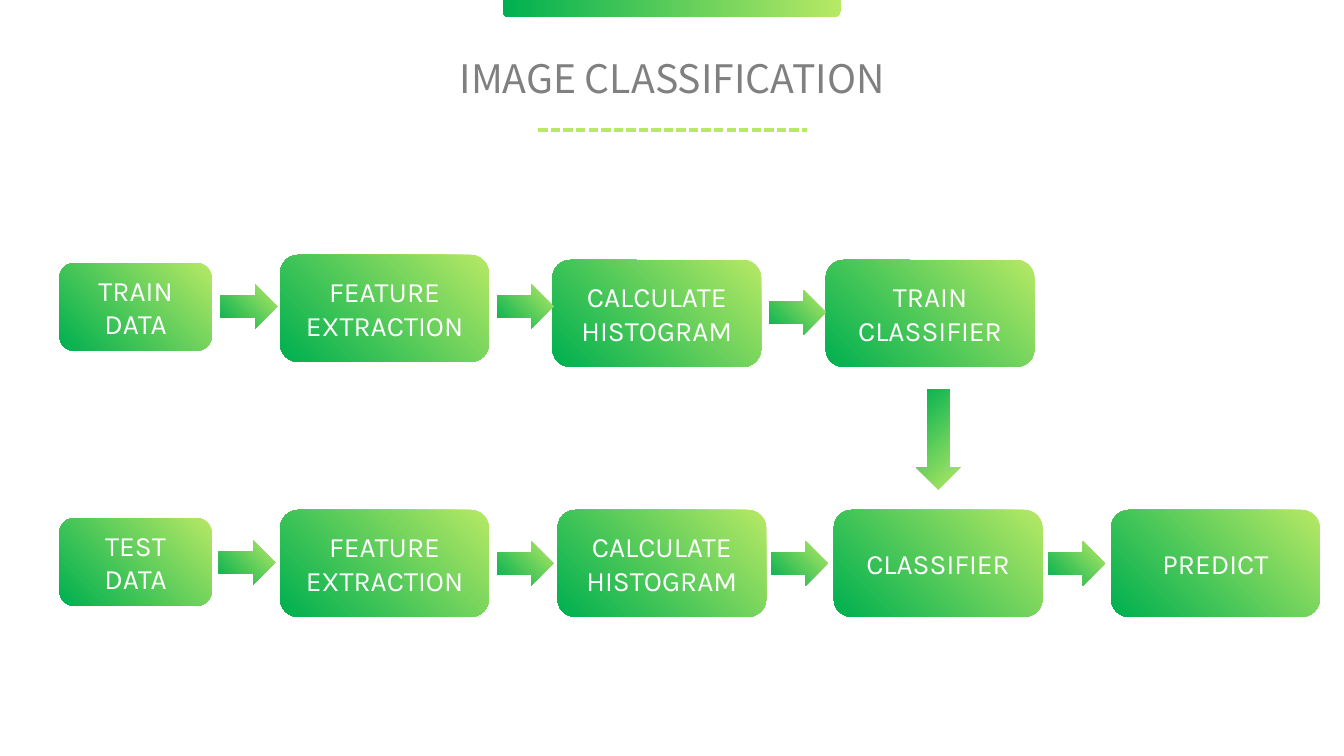
from lxml.etree import SubElement
from pptx import Presentation
from pptx.dml.color import RGBColor
from pptx.enum.dml import MSO_LINE
from pptx.enum.shapes import MSO_CONNECTOR, MSO_SHAPE
from pptx.enum.text import MSO_ANCHOR, MSO_AUTO_SIZE, PP_ALIGN
from pptx.oxml.ns import qn
from pptx.util import Inches, Pt

LIME = "B7E965"
GREEN = "00B050"
STEP_SIZE = (2.07, 1.06)
DATA_SIZE = (1.51, 0.87)
ARROW_SIZE = (0.56, 0.44)

STEPS = [
    ("TRAIN DATA", 0.59, 2.61, DATA_SIZE),
    ("FEATURE EXTRACTION", 2.78, 2.53, STEP_SIZE),
    ("CALCULATE HISTOGRAM", 5.48, 2.58, STEP_SIZE),
    ("TRAIN CLASSIFIER", 8.19, 2.58, STEP_SIZE),
    ("TEST DATA", 0.59, 5.14, DATA_SIZE),
    ("FEATURE EXTRACTION", 2.78, 5.06, STEP_SIZE),
    ("CALCULATE HISTOGRAM", 5.53, 5.06, STEP_SIZE),
    ("CLASSIFIER", 8.27, 5.06, STEP_SIZE),
    ("PREDICT", 11.02, 5.06, STEP_SIZE),
]
ARROWS = [
    (2.19, 2.82), (4.93, 2.82), (7.63, 2.88),
    (2.17, 5.36), (4.93, 5.37), (7.65, 5.37), (10.4, 5.37),
]


def color(value):
    return RGBColor.from_string(value)


def apply_format(target, values):
    for name, value in values.items():
        setattr(target, name, value)


class FlowSlide:
    step_font = {"name": "Karla", "size": Pt(20)}
    title_font = {"name": "Noto Sans CJK JP", "size": Pt(28)}

    def __init__(self, presentation):
        self.slide = presentation.slides.add_slide(presentation.slide_layouts[6])

    def label(self, shape, text, font_format, font_color, frame_format):
        apply_format(shape.text_frame, frame_format)
        paragraph = shape.text_frame.paragraphs[0]
        paragraph.alignment = PP_ALIGN.CENTER
        run = paragraph.add_run()
        run.text = text
        apply_format(run.font, font_format)
        run.font.color.rgb = color(font_color)

    def gradient_shape(self, kind, left, top, size, angle=225, end=0.99):
        shape = self.slide.shapes.add_shape(
            kind, Inches(left), Inches(top), *map(Inches, size))
        shape.shadow.inherit = False
        shape.line.fill.background()
        shape.fill.gradient()
        shape.fill.gradient_angle = angle
        stops = zip(shape.fill.gradient_stops, (LIME, GREEN), (0, end))
        for stop, value, position in stops:
            stop.color.rgb = color(value)
            stop.position = position
        return shape

    def step(self, text, left, top, size):
        shape = self.gradient_shape(MSO_SHAPE.ROUNDED_RECTANGLE, left, top, size)
        self.label(shape, text, self.step_font, "FFFFFF",
                   {"word_wrap": True, "vertical_anchor": MSO_ANCHOR.MIDDLE})

    def arrow(self, left, top, size=ARROW_SIZE, rotation=0):
        shape = self.gradient_shape(MSO_SHAPE.RIGHT_ARROW, left, top, size)
        shape.rotation = rotation

    def title(self, text, left, top, width, height):
        box = self.slide.shapes.add_textbox(*map(Inches, (left, top, width, height)))
        self.label(box, text, self.title_font, "808080",
                   {"word_wrap": False, "auto_size": MSO_AUTO_SIZE.SHAPE_TO_FIT_TEXT})

    def dashed_line(self, left, right, top):
        line = self.slide.shapes.add_connector(
            MSO_CONNECTOR.STRAIGHT, *map(Inches, (left, top, right, top)))
        line.line.color.rgb = color(LIME)
        apply_format(line.line, {"width": Pt(2.25), "dash_style": MSO_LINE.SQUARE_DOT})
        SubElement(line._element.spPr, qn("a:effectLst"))


def main():
    presentation = Presentation()
    apply_format(presentation, {"slide_width": Inches(13.33), "slide_height": Inches(7.5)})
    flow = FlowSlide(presentation)
    flow.gradient_shape(MSO_SHAPE.ROUNDED_RECTANGLE, 4.99, -0.16, (3.35, 0.33),
                        angle=180, end=1)
    flow.title("IMAGE CLASSIFICATION", 4.41, 0.49, 4.51, 0.57)
    flow.dashed_line(5.34, 8, 1.29)
    for step in STEPS:
        flow.step(*step)
    for left, top in ARROWS:
        flow.arrow(left, top)
    flow.arrow(8.81, 4.14, (0.99, 0.44), 90)
    presentation.save("out.pptx")


if __name__ == "__main__":
    main()
